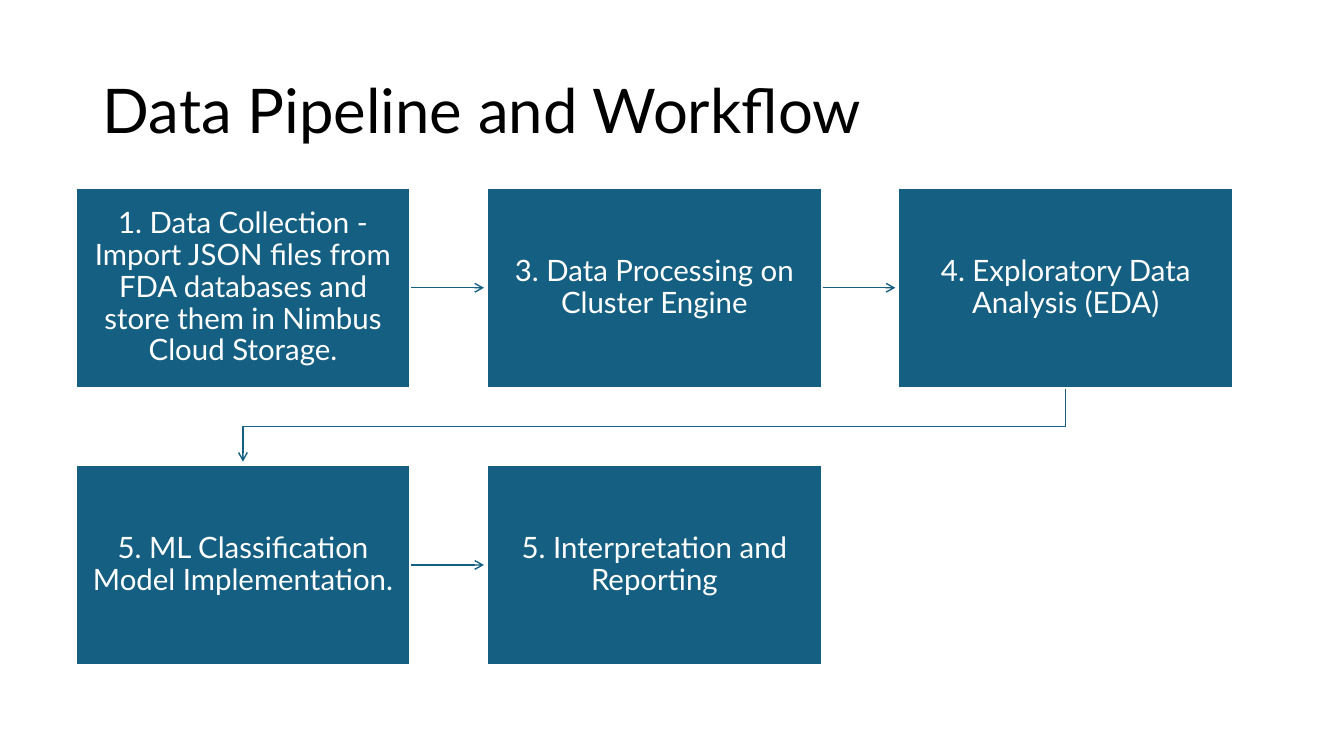
from lxml.etree import SubElement
from pptx import Presentation
from pptx.dml.color import RGBColor
from pptx.enum.shapes import MSO_CONNECTOR as CONNECTOR, MSO_SHAPE as SHAPE
from pptx.enum.text import MSO_ANCHOR as ANCHOR, PP_ALIGN as ALIGN
from pptx.oxml.ns import qn
from pptx.util import Inches, Pt

COLORS = {"step": "156082", "light": "FFFFFF", "title": "000000"}
FONT = "Lato"
LEFT, TOP = 0.75, 1.86
STEP_WIDTH, STEP_HEIGHT = 3.32, 1.99
COLUMN_PITCH, ROW_PITCH = 4.08, 2.75
ARROW_GAP = 0.03
ROWS = [
    [
        "1. Data Collection - Import JSON files from FDA databases "
        "and store them in Nimbus Cloud Storage.",
        "3. Data Processing on Cluster Engine",
        "4. Exploratory Data Analysis (EDA)",
    ],
    [
        "5. ML Classification Model Implementation.",
        "5. Interpretation and Reporting",
    ],
]


def color(name):
    """Return the named colour."""
    return RGBColor.from_string(COLORS[name])


def corner(row, column):
    """Return the left and top of a step in inches."""
    return LEFT + column * COLUMN_PITCH, TOP + row * ROW_PITCH


def style_paragraph(paragraph, size, color_name, align):
    """Set the font, spacing and alignment of a paragraph."""
    paragraph.alignment = align
    paragraph.line_spacing = 0.9
    paragraph.font.name = FONT
    paragraph.font.size = Pt(size)
    paragraph.font.color.rgb = color(color_name)


def style_arrow(arrow):
    """Colour a line and give its far end an open arrowhead."""
    arrow.line.color.rgb = color("step")
    arrow.line.width = Pt(1)
    outline = arrow.element.spPr.find(qn("a:ln"))
    SubElement(outline, qn("a:tailEnd"), type="arrow")


def add_title(slide, text):
    """Fill and place the title placeholder."""
    title = slide.shapes.title
    title.left, title.top = Inches(0.92), Inches(0.4)
    title.width, title.height = Inches(11.5), Inches(1.45)
    title.text_frame.text = text
    title.text_frame.vertical_anchor = ANCHOR.MIDDLE
    style_paragraph(title.text_frame.paragraphs[0], 44, "title", ALIGN.LEFT)


def add_step(slide, row, column, text):
    """Add one step of the workflow."""
    left, top = corner(row, column)
    step = slide.shapes.add_shape(
        SHAPE.RECTANGLE, Inches(left), Inches(top),
        Inches(STEP_WIDTH), Inches(STEP_HEIGHT))
    step.shadow.inherit = False
    step.fill.solid()
    step.fill.fore_color.rgb = color("step")
    step.line.color.rgb = color("light")
    step.line.width = Pt(1.5)
    frame = step.text_frame
    frame.text = text
    frame.word_wrap = True
    frame.vertical_anchor = ANCHOR.MIDDLE
    frame.margin_left = frame.margin_right = Inches(0.16)
    frame.margin_top = frame.margin_bottom = Inches(0.17)
    style_paragraph(frame.paragraphs[0], 21, "light", ALIGN.CENTER)


def add_next_arrow(slide, row, column):
    """Add an arrow from a step to the next one in its row."""
    left, top = corner(row, column)
    middle = Inches(top + STEP_HEIGHT / 2)
    arrow = slide.shapes.add_connector(
        CONNECTOR.STRAIGHT, Inches(left + STEP_WIDTH), middle,
        Inches(left + COLUMN_PITCH - ARROW_GAP), middle)
    style_arrow(arrow)
    SubElement(arrow.element.spPr, qn("a:effectLst"))


def add_row_arrow(slide, row, last_column):
    """Add a bent arrow from the end of a row to the start of the next."""
    last_left, top = corner(row, last_column)
    first_left, next_top = corner(row + 1, 0)
    start_x = Inches(last_left + STEP_WIDTH / 2)
    end_x = Inches(first_left + STEP_WIDTH / 2)
    bottom = top + STEP_HEIGHT
    bend_y = Inches((bottom + next_top) / 2)
    builder = slide.shapes.build_freeform(start_x, Inches(bottom))
    builder.add_line_segments(
        [(start_x, bend_y), (end_x, bend_y),
         (end_x, Inches(next_top - ARROW_GAP))], close=False)
    arrow = builder.convert_to_shape()
    arrow.shadow.inherit = False
    arrow.fill.background()
    style_arrow(arrow)


def main():
    """Build the slide and save it."""
    deck = Presentation()
    deck.slide_width, deck.slide_height = Inches(13.33), Inches(7.5)
    slide = deck.slides.add_slide(deck.slide_layouts[5])
    add_title(slide, "Data Pipeline and Workflow")
    for row, steps in enumerate(ROWS):
        for column in range(len(steps) - 1):
            add_next_arrow(slide, row, column)
    add_row_arrow(slide, 0, len(ROWS[0]) - 1)
    for row, steps in enumerate(ROWS):
        for column, text in enumerate(steps):
            add_step(slide, row, column, text)
    deck.save("out.pptx")


if __name__ == "__main__":
    main()
